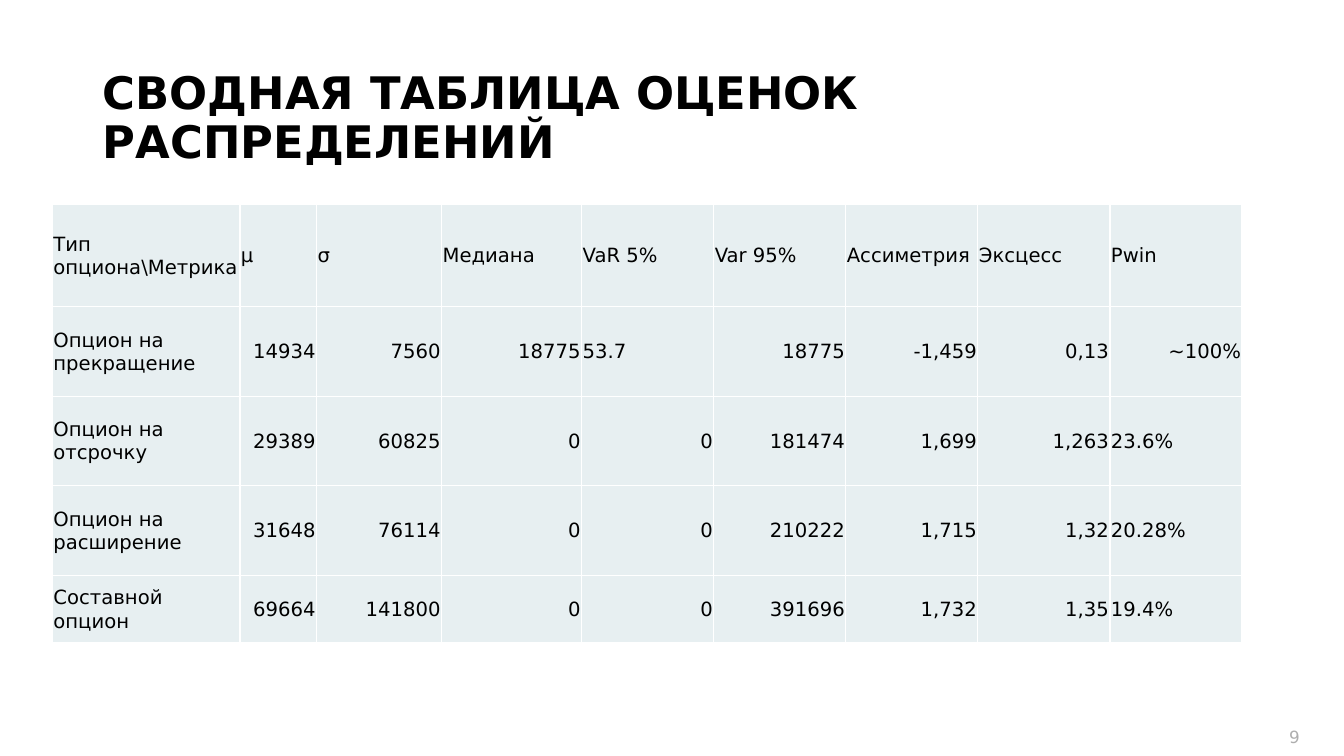
from dataclasses import dataclass

from lxml import etree
from pptx import Presentation
from pptx.dml.color import RGBColor
from pptx.enum.text import MSO_ANCHOR, PP_ALIGN
from pptx.oxml.ns import qn
from pptx.slide import Slide
from pptx.table import _Cell
from pptx.text.text import TextFrame
from pptx.util import Inches, Pt

LEFT, RIGHT = PP_ALIGN.LEFT, PP_ALIGN.RIGHT
MIDDLE = MSO_ANCHOR.MIDDLE


@dataclass(frozen=True)
class Theme:
    font: str = "DejaVu Sans"
    ink: str = "000000"
    muted: str = "AEAEAE"
    cell: str = "E7EFF1"
    border: str = "FFFFFF"
    border_width: float = 1
    title_size: int = 32
    table_size: int = 14
    number_size: int = 12


@dataclass(frozen=True)
class Label:
    text: str
    left: float
    top: float
    width: float
    height: float
    size: int
    color: str
    bold: bool = False
    align: PP_ALIGN = LEFT
    line_spacing: float = 1.0


THEME = Theme()

LABELS = [
    Label("9", 10.87, 7.11, 2.12, 0.39, THEME.number_size, THEME.muted, align=RIGHT),
    Label("СВОДНАЯ ТАБЛИЦА ОЦЕНОК РАСПРЕДЕЛЕНИЙ", 0.92, 0.32, 9.15, 1.73,
          THEME.title_size, THEME.ink, bold=True, line_spacing=0.9),
]

COLUMN_WIDTHS = [1.86, 0.76, 1.24, 1.39] + [1.31] * 5
ROW_HEIGHTS = [1.01] + [0.89] * 3 + [0.67]
ESTIMATES = [
    ["Тип опциона\\Метрика", "μ", "σ", "Медиана", "VaR 5%", "Var 95%",
     "Ассиметрия", "Эксцесс", "Pwin"],
    ["Опцион на прекращение", "14934", "7560", "18775", "53.7", "18775",
     "-1,459", "0,13", "~100%"],
    ["Опцион на отсрочку", "29389", "60825", "0", "0", "181474",
     "1,699", "1,263", "23.6%"],
    ["Опцион на расширение", "31648", "76114", "0", "0", "210222",
     "1,715", "1,32", "20.28%"],
    ["Составной опцион", "69664", "141800", "0", "0", "391696",
     "1,732", "1,35", "19.4%"],
]


def write(frame: TextFrame, text: str, size: int, color: str,
          bold: bool, align: PP_ALIGN, line_spacing: float = 1.0) -> None:
    frame.text = text
    paragraph = frame.paragraphs[0]
    paragraph.alignment = align
    paragraph.line_spacing = line_spacing
    font = paragraph.runs[0].font
    font.name = THEME.font
    font.size = Pt(size)
    font.bold = bold
    font.color.rgb = RGBColor.from_string(color)


def add_label(slide: Slide, label: Label) -> None:
    frame = slide.shapes.add_textbox(
        Inches(label.left), Inches(label.top),
        Inches(label.width), Inches(label.height)).text_frame
    frame.word_wrap = True
    frame.vertical_anchor = MIDDLE
    write(frame, label.text, label.size, label.color, label.bold,
          label.align, label.line_spacing)


def add_borders(cell: _Cell) -> None:
    properties = cell._tc.get_or_add_tcPr()
    for side in ("a:lnL", "a:lnR", "a:lnT", "a:lnB"):
        line = etree.SubElement(properties, qn(side), w=str(Pt(THEME.border_width)))
        fill = etree.SubElement(line, qn("a:solidFill"))
        etree.SubElement(fill, qn("a:srgbClr"), val=THEME.border)


def fill_cell(cell: _Cell, text: str, align: PP_ALIGN) -> None:
    cell.margin_left = cell.margin_right = cell.margin_top = Inches(0.01)
    cell.margin_bottom = 0
    cell.vertical_anchor = MIDDLE
    add_borders(cell)
    cell.fill.solid()
    cell.fill.fore_color.rgb = RGBColor.from_string(THEME.cell)
    write(cell.text_frame, text, THEME.table_size, THEME.ink, False, align)


def add_estimates(slide: Slide) -> None:
    table = slide.shapes.add_table(
        len(ROW_HEIGHTS), len(COLUMN_WIDTHS), Inches(0.52), Inches(2.03),
        Inches(sum(COLUMN_WIDTHS)), Inches(sum(ROW_HEIGHTS))).table
    table.first_row = table.horz_banding = False
    for column, width in zip(table.columns, COLUMN_WIDTHS):
        column.width = Inches(width)
    for row, height in zip(table.rows, ROW_HEIGHTS):
        row.height = Inches(height)
    for r, values in enumerate(ESTIMATES):
        for c, value in enumerate(values):
            is_number = r > 0 and c > 0 and "." not in value
            fill_cell(table.cell(r, c), value, RIGHT if is_number else LEFT)


def main() -> None:
    deck = Presentation()
    deck.slide_width, deck.slide_height = Inches(13.33), Inches(7.5)
    slide = deck.slides.add_slide(deck.slide_layouts[6])
    for label in LABELS:
        add_label(slide, label)
    add_estimates(slide)
    deck.save("out.pptx")


if __name__ == "__main__":
    main()
